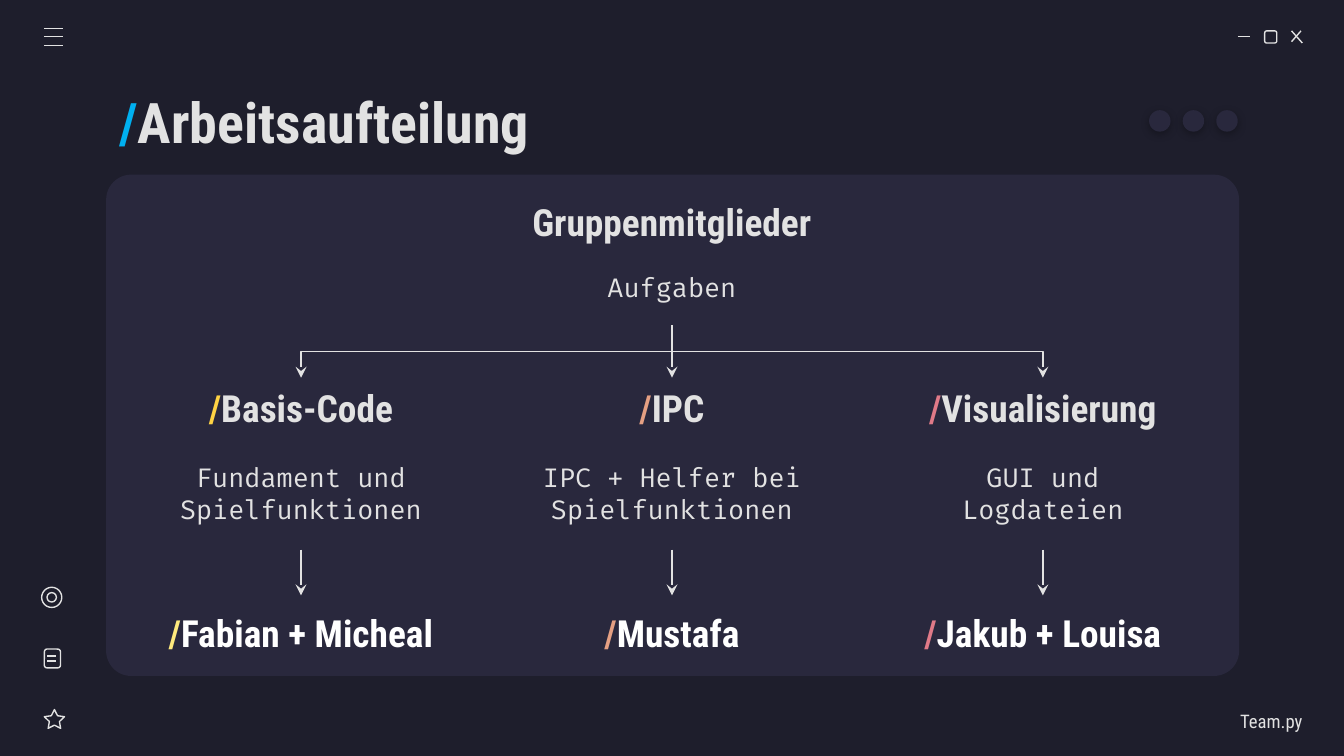
"""Build the slide that shows how the group splits its work."""
from dataclasses import dataclass

from lxml.etree import SubElement
from pptx import Presentation
from pptx.dml.color import RGBColor
from pptx.enum.shapes import MSO_CONNECTOR as Link, MSO_SHAPE as Kind
from pptx.enum.text import MSO_ANCHOR as Anchor, PP_ALIGN as Align
from pptx.oxml.ns import qn
from pptx.shapes.autoshape import Shape
from pptx.shapes.connector import Connector
from pptx.slide import Slide
from pptx.util import Inches, Pt

LIGHT, WHITE, DARK, PANEL = "E2E2E2", "FFFFFF", "1E1E2C", "29283D"
HEAD, CODE = "Roboto Condensed", "Fira Code"


@dataclass
class Box:
    left: float
    top: float
    width: float
    height: float


@dataclass
class Run:
    text: str
    color: str = LIGHT


@dataclass
class Style:
    font: str
    size: float
    bold: bool = False
    align: Align = Align.CENTER


@dataclass
class Task:
    title: str
    duty: str
    names: str
    color: str
    accent: str


TITLE = Style(HEAD, 30, True, Align.LEFT)
TOPIC = Style(HEAD, 20, True)
BODY = Style(CODE, 14)
FOOT = Style(HEAD, 10, False, Align.RIGHT)

TASKS = [
    Task("Basis-Code", "Fundament und Spielfunktionen", "Fabian + Micheal", "FFD344", "FFEA7D"),
    Task("IPC", "IPC + Helfer bei Spielfunktionen", "Mustafa", "E5A083", "E5A083"),
    Task("Visualisierung", "GUI und Logdateien", "Jakub + Louisa", "E07A88", "E07A88"),
]
ICONS = [
    (Kind.ROUNDED_RECTANGLE, Box(9.41, 0.23, 0.09, 0.09)),
    (Kind.STAR_5_POINT, Box(0.33, 5.28, 0.15, 0.14)),
    (Kind.ROUNDED_RECTANGLE, Box(0.33, 4.83, 0.12, 0.14)),
    (Kind.OVAL, Box(0.31, 4.37, 0.15, 0.15)),
    (Kind.OVAL, Box(0.35, 4.41, 0.07, 0.07)),
]
STROKES = [
    (9.21, 0.27, 9.3, 0.27),
    (9.61, 0.23, 9.69, 0.32),
    (9.68, 0.23, 9.61, 0.31),
    *((0.33, y, 0.47, y) for y in (0.21, 0.27, 0.34)),
    *((0.35, y, 0.42, y) for y in (4.88, 4.92)),
]


def paint(target, color: str) -> None:
    target.rgb = RGBColor.from_string(color)


def place(box: Box) -> tuple:
    return Inches(box.left), Inches(box.top), Inches(box.width), Inches(box.height)


def add_form(slide: Slide, kind: Kind, box: Box, fill: str = "") -> Shape:
    form = slide.shapes.add_shape(kind, *place(box))
    form.shadow.inherit = False
    if fill:
        form.fill.solid()
        paint(form.fill.fore_color, fill)
        form.line.fill.background()
    else:
        form.fill.background()
        paint(form.line.color, LIGHT)
        form.line.width = Pt(0.75)
    return form


def add_text(slide: Slide, box: Box, style: Style, *runs: Run, right: float = 0.1) -> Shape:
    label = slide.shapes.add_textbox(*place(box))
    frame = label.text_frame
    frame.word_wrap = True
    frame.vertical_anchor = Anchor.MIDDLE
    frame.margin_left = frame.margin_top = frame.margin_bottom = Inches(0.1)
    frame.margin_right = Inches(right)
    para = frame.paragraphs[0]
    para.alignment = style.align
    for part in runs:
        run = para.add_run()
        run.text = part.text
        run.font.name, run.font.size, run.font.bold = style.font, Pt(style.size), style.bold
        paint(run.font.color, part.color)
    return label


def add_line(slide: Slide, x1: float, y1: float, x2: float, y2: float,
             kind: Link = Link.STRAIGHT, arrow: bool = False) -> Connector:
    line = slide.shapes.add_connector(kind, *map(Inches, (x1, y1, x2, y2)))
    paint(line.line.color, LIGHT)
    line.line.width = Pt(0.75)
    if arrow:
        SubElement(line.line._get_or_add_ln(), qn("a:tailEnd"), type="stealth")
    SubElement(line._element.spPr, qn("a:effectLst"))
    return line


def join(slide: Slide, start: Shape, end: Shape) -> None:
    line = add_line(slide, 0, 0, 1, 1, arrow=True)
    line.begin_connect(start, 2)
    line.end_connect(end, 0)


def add_bend(slide: Slide, x1: float, y1: float, x2: float, y2: float) -> None:
    mid_x, mid_y = (x1 + x2) / 2, (y1 + y2) / 2
    half, rise = (y2 - y1) / 2, abs(x2 - x1) / 2
    side = 1 if x2 > x1 else -1
    line = add_line(slide, mid_x + side * half, mid_y - rise,
                    mid_x - side * half, mid_y + rise, Link.ELBOW, True)
    turn = 270 if side > 0 else 90
    line._element.spPr.find(qn("a:xfrm")).set("rot", str(turn * 60000))


def add_dot(slide: Slide, left: float) -> None:
    dot = add_form(slide, Kind.OVAL, Box(left, 0.82, 0.16, 0.16), PANEL)
    glow = SubElement(dot._element.spPr.find(qn("a:effectLst")), qn("a:outerShdw"),
                      blurRad=str(Pt(4.5)), dist=str(Pt(1.5)), dir=str(90 * 60000),
                      algn="bl", rotWithShape="0")
    tint = SubElement(glow, qn("a:srgbClr"), val="000000")
    SubElement(tint, qn("a:alpha"), val="30000")


def add_frame(slide: Slide) -> None:
    panel = add_form(slide, Kind.ROUNDED_RECTANGLE, Box(0.79, 1.3, 8.43, 3.73), PANEL)
    panel.adjustments[0] = 0.05
    for kind, box in ICONS:
        icon = add_form(slide, kind, box)
        if kind == Kind.STAR_5_POINT:
            icon.adjustments[0] = 0.25
    for stroke in STROKES:
        add_line(slide, *stroke)
    for i in range(3):
        add_dot(slide, 8.55 + 0.25 * i)
    add_text(slide, Box(0.79, 0.59, 7.88, 0.63), TITLE, Run("/", "00B0F0"), Run("Arbeitsaufteilung"))
    foot = add_text(slide, Box(8.52, 5.2, 1.17, 0.3), FOOT, Run("Team.py"), right=0)
    foot.text_frame.paragraphs[0].line_spacing = 1.15


def add_tree(slide: Slide) -> None:
    add_text(slide, Box(2.95, 1.43, 4.1, 0.44), TOPIC, Run("Gruppenmitglieder"))
    root = add_text(slide, Box(2.95, 1.86, 4.1, 0.56), BODY, Run("Aufgaben"))
    for i, task in enumerate(TASKS):
        left, width = 1.11 + 2.76 * i, 2.26
        title = add_text(slide, Box(left, 2.81, width, 0.44), TOPIC,
                         Run("/", task.color), Run(task.title))
        duty = add_text(slide, Box(left, 3.25, width, 0.84), BODY, Run(task.duty))
        names = add_text(slide, Box(left, 4.43, width, 0.56), TOPIC,
                         Run("/", task.accent), Run(task.names, WHITE))
        join(slide, duty, names)
        if i == 1:
            join(slide, root, title)
        else:
            add_bend(slide, 5, 2.42, left + width / 2, 2.81)


def main() -> None:
    deck = Presentation()
    deck.slide_width, deck.slide_height = Inches(10), Inches(10 * 9 / 16)
    slide = deck.slides.add_slide(deck.slide_layouts[6])
    slide.background.fill.solid()
    paint(slide.background.fill.fore_color, DARK)
    add_frame(slide)
    add_tree(slide)
    deck.save("out.pptx")


if __name__ == "__main__":
    main()
